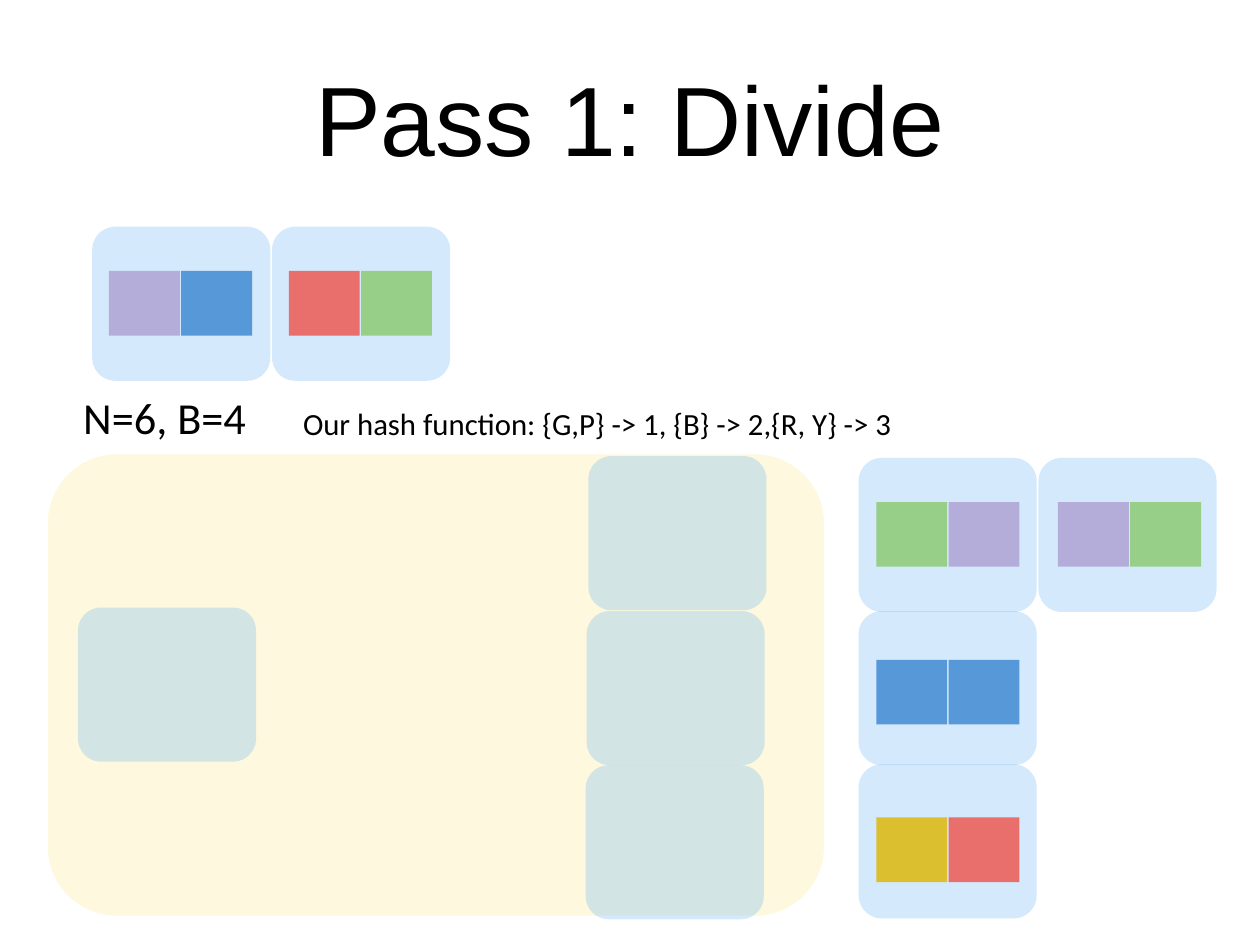
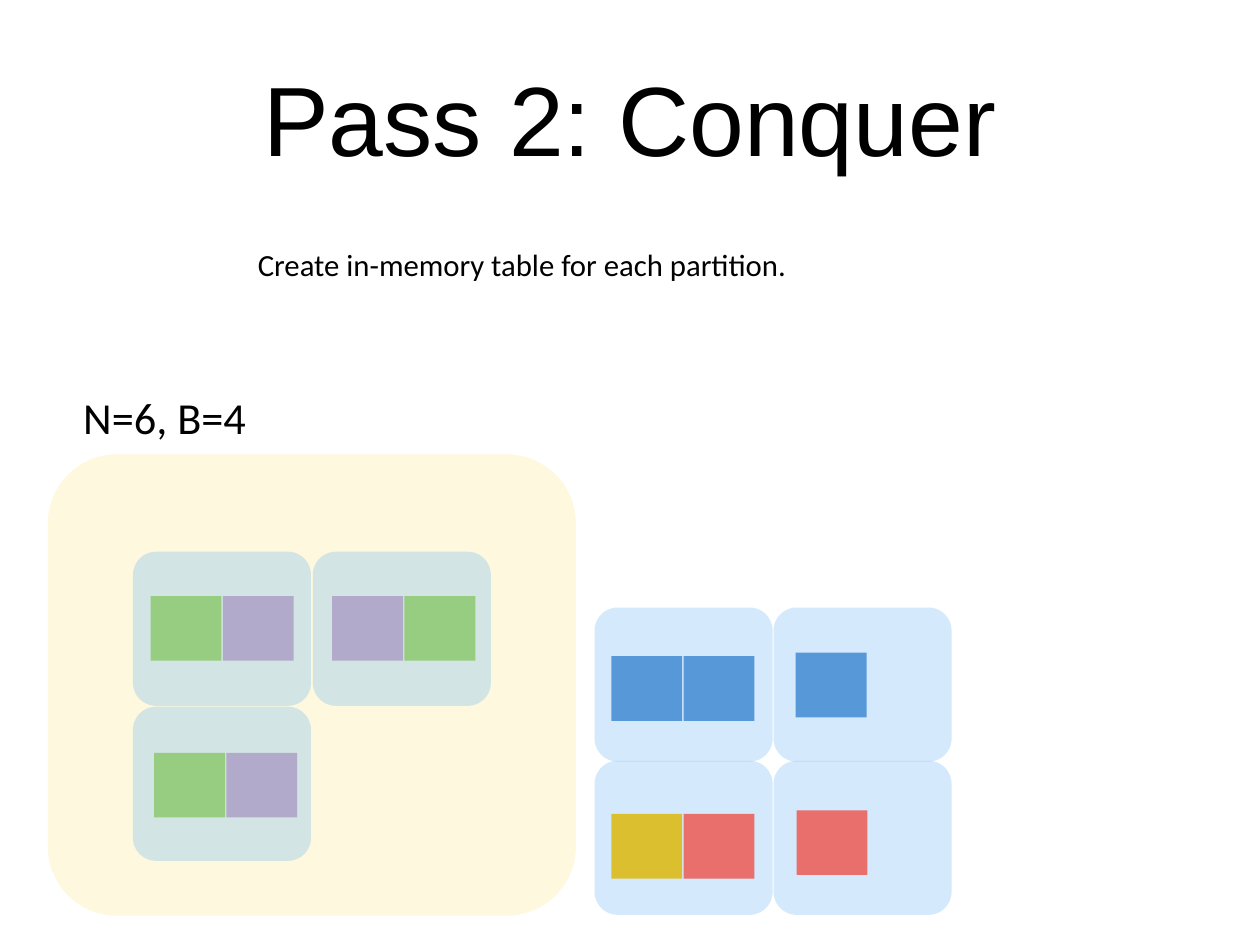
from dataclasses import dataclass

from pptx import Presentation
from pptx.dml.color import RGBColor
from pptx.enum.shapes import MSO_SHAPE as SHAPE
from pptx.enum.text import MSO_ANCHOR as ANCHOR, MSO_AUTO_SIZE as FIT, PP_ALIGN as ALIGN
from pptx.oxml.ns import qn
from pptx.util import Inches, Pt


# Theme: each fill is a colour and its opacity in percent
@dataclass(frozen=True)
class Theme:
    text: RGBColor = RGBColor(0, 0, 0)
    title_font: str = "Arial"
    body_font: str = "Calibri"
    title_size: int = 80
    label_size: int = 36
    note_size: int = 25
    memory: tuple = ("F5D328", 15)
    page: tuple = ("51A7F9", 24)
    red: tuple = ("EC5D57", 87)
    green: tuple = ("70BF41", 61)
    purple: tuple = ("773F9B", 35)
    blue: tuple = ("0365C0", 60)
    yellow: tuple = ("DCBD23", 94)


T = Theme()
R, G, P, B, Y = T.red, T.green, T.purple, T.blue, T.yellow

# Sizes in inches
PAGE_W, PAGE_H = 2.01, 1.74
RECORD_W, RECORD_H, RECORD_STEP = 0.8, 0.73, 0.815

# Pages: left, top, records, offset of the first record within the page
SLIDES = [
    dict(
        title="Pass 1: Divide",
        note="Our hash function: {G,P} -> 1, {B} -> 2,{R, Y} -> 3",
        note_at=(3.36, 4.51),
        memory_w=8.76,
        pages=[
            # Input and output buffers
            (0.88, 6.86, [], (0, 0)),
            (6.64, 5.15, [], (0, 0)),
            (6.62, 6.9, [], (0, 0)),
            (6.61, 8.64, [], (0, 0)),
            # Input still to be read
            (1.04, 2.56, [P, B], (0.19, 0.5)),
            (3.07, 2.56, [R, G], (0.19, 0.5)),
            # Partitions on disk
            (9.69, 5.17, [G, P], (0.2, 0.5)),
            (11.72, 5.17, [P, G], (0.22, 0.5)),
            (9.69, 6.9, [B, B], (0.2, 0.55)),
            (9.69, 8.63, [Y, R], (0.2, 0.6)),
        ],
    ),
    dict(
        title="Pass 2: Conquer",
        note="Create in-memory table for each partition.",
        note_at=(2.85, 2.71),
        memory_w=5.96,
        pages=[
            # Partition in memory
            (1.5, 6.23, [G, P], (0.2, 0.5)),
            (3.53, 6.23, [P, G], (0.22, 0.5)),
            (1.5, 7.98, [G, P], (0.24, 0.52)),
            # Partitions on disk
            (6.71, 6.86, [B, B], (0.19, 0.55)),
            (8.73, 6.86, [B], (0.25, 0.51)),
            (6.71, 8.59, [Y, R], (0.19, 0.6)),
            (8.73, 8.59, [R], (0.26, 0.56)),
        ],
    ),
]


def add_box(slide, kind, x, y, w, h, fill):
    color, opacity = fill
    sp = slide.shapes.add_shape(kind, Inches(x), Inches(y), Inches(w), Inches(h))
    sp.shadow.inherit = False
    sp.line.fill.background()
    sp.fill.solid()
    sp.fill.fore_color.rgb = RGBColor.from_string(color)
    rgb = sp._element.spPr.find(qn("a:solidFill")).find(qn("a:srgbClr"))
    rgb.makeelement(qn("a:alpha"), {})
    alpha = rgb.makeelement(qn("a:alpha"), {"val": str(opacity * 1000)})
    rgb.append(alpha)
    if kind == SHAPE.ROUNDED_RECTANGLE:
        sp.adjustments[0] = 0.15


def set_text(sp, text, font, size, align, margins):
    tf = sp.text_frame
    tf.vertical_anchor = ANCHOR.MIDDLE
    tf.margin_left = tf.margin_right = Inches(margins[0])
    tf.margin_top = tf.margin_bottom = Inches(margins[1])
    p = tf.paragraphs[0]
    p.alignment = align
    r = p.add_run()
    r.text = text
    r.font.name = font
    r.font.size = Pt(size)
    r.font.color.rgb = T.text
    return tf


prs = Presentation()
prs.slide_width, prs.slide_height = Inches(14.22), Inches(10.67)

for content in SLIDES:
    slide = prs.slides.add_slide(prs.slide_layouts[5])

    # Title
    title = slide.shapes.title
    title.left, title.top = Inches(0.71), Inches(0.43)
    title.width, title.height = Inches(12.8), Inches(1.78)
    tf = set_text(title, content["title"], T.title_font, T.title_size,
                  ALIGN.CENTER, (0.14, 0.07))
    tf.auto_size = FIT.NONE

    # Sizes label and note
    x, y = content["note_at"]
    for text, size, at, wrap in [
        ("N=6, B=4", T.label_size, (0.88, 4.35, 1.97, 0.72), False),
        (content["note"], T.note_size, (x, y, 8.51, 0.54), True),
    ]:
        sp = slide.shapes.add_textbox(*map(Inches, at))
        tf = set_text(sp, text, T.body_font, size, ALIGN.LEFT, (0.06, 0.06))
        tf.word_wrap = wrap
        tf.auto_size = FIT.SHAPE_TO_FIT_TEXT

    # Memory
    add_box(slide, SHAPE.ROUNDED_RECTANGLE, 0.54, 5.13, content["memory_w"], 5.21, T.memory)

    # Pages with their records
    for x, y, records, (dx, dy) in content["pages"]:
        add_box(slide, SHAPE.ROUNDED_RECTANGLE, x, y, PAGE_W, PAGE_H, T.page)
        for i, fill in enumerate(records):
            add_box(slide, SHAPE.RECTANGLE, x + dx + i * RECORD_STEP, y + dy,
                    RECORD_W, RECORD_H, fill)

prs.save("out.pptx")
